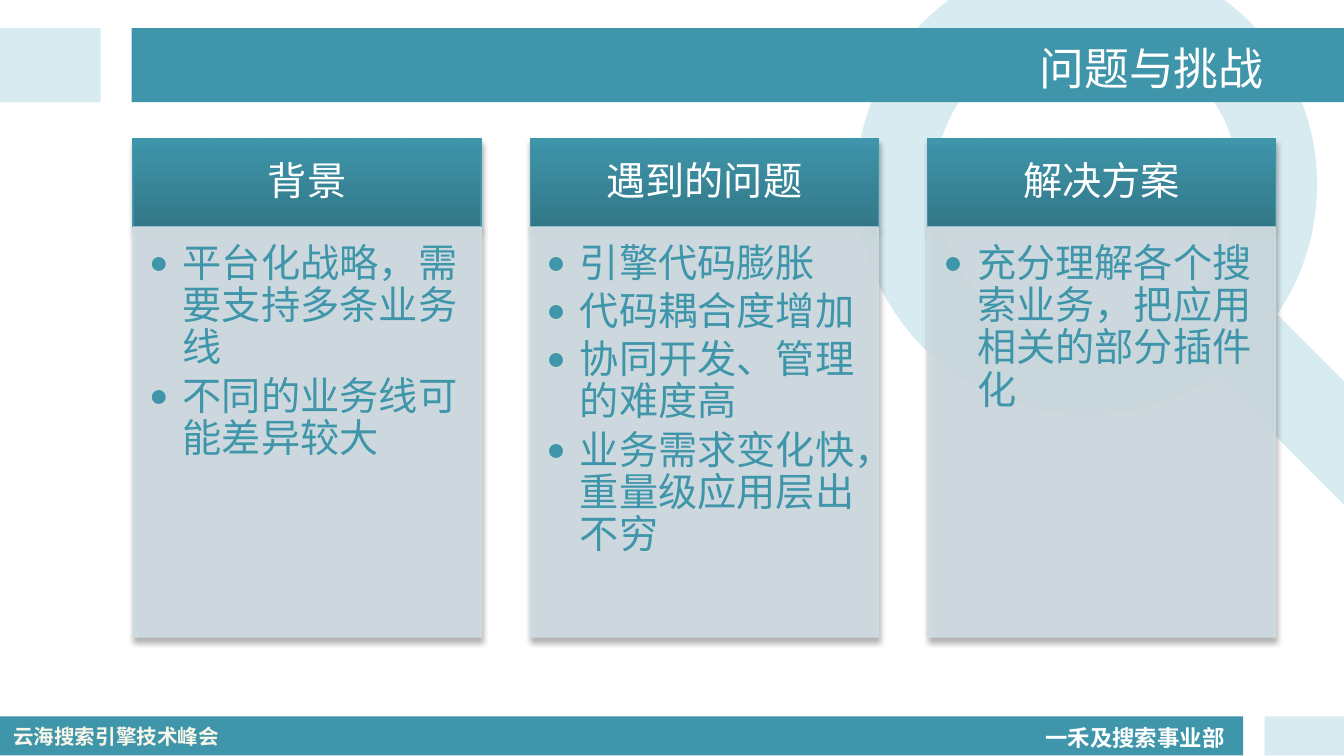
from lxml import etree
from pptx import Presentation
from pptx.dml.color import RGBColor
from pptx.enum import shapes, text
from pptx.oxml.ns import qn
from pptx.util import Inches, Pt

TEAL, DEEP, PALE, PANEL = "3F95AA", "327788", "D7EBF0", "CFDDE2"
WHITE, CREAM = "FFFFFF", "F9F7EA"
RECT = shapes.MSO_SHAPE.RECTANGLE
LEFT, MID, RIGHT = text.PP_ALIGN.LEFT, text.PP_ALIGN.CENTER, text.PP_ALIGN.RIGHT
TOP, CENTER = text.MSO_ANCHOR.TOP, text.MSO_ANCHOR.MIDDLE

CARDS = [
    ("背景", ["平台化战略，需要支持多条业务线", "不同的业务线可能差异较大"]),
    ("遇到的问题", ["引擎代码膨胀", "代码耦合度增加", "协同开发、管理的难度高",
               "业务需求变化快，重量级应用层出不穷"]),
    ("解决方案", ["充分理解各个搜索业务，把应用相关的部分插件化"]),
]


def color(code):
    return RGBColor.from_string(code)


def add_form(slide, box, fill, kind=RECT):
    form = slide.shapes.add_shape(kind, *map(Inches, box))
    form.shadow.inherit = False
    form.fill.solid()
    form.fill.fore_color.rgb = color(fill)
    form.line.fill.background()
    return form


def add_text(slide, box, lines, size, tint, align=LEFT, anchor=TOP, bold=False,
             font="Calibri", pads=(0.1, 0.05, 0.1, 0.05), space=1, after=0,
             bullet=False, wrap=True):
    frame = slide.shapes.add_textbox(*map(Inches, box)).text_frame
    frame.word_wrap = wrap
    frame.vertical_anchor = anchor
    (frame.margin_left, frame.margin_top,
     frame.margin_right, frame.margin_bottom) = map(Inches, pads)
    for i, line in enumerate(lines):
        para = frame.add_paragraph() if i else frame.paragraphs[0]
        para.alignment = align
        para.line_spacing = space
        para.space_after = Pt(after)
        if bullet:
            props = para._p.get_or_add_pPr()
            props.set("marL", str(Inches(0.25)))
            props.set("indent", str(-Inches(0.25)))
            etree.SubElement(props, qn("a:buFont"), typeface=font)
            etree.SubElement(props, qn("a:buChar"), char="•")
        run = para.add_run()
        run.text = line
        run.font.size = Pt(size)
        run.font.bold = bold
        run.font.name = font
        run.font.color.rgb = color(tint)


def add_alpha(node, share):
    etree.SubElement(node, qn("a:alpha"), val=str(share * 1000))


def add_shadow(form):
    effects = form._element.spPr.find(qn("a:effectLst"))
    shadow = etree.SubElement(
        effects, qn("a:outerShdw"), blurRad=str(Pt(3)), dist=str(Pt(3)),
        dir=str(80 * 60000), rotWithShape="0")
    add_alpha(etree.SubElement(shadow, qn("a:srgbClr"), val="000000"), 32)


def add_edge(form, tint):
    form.line.color.rgb = color(tint)
    form.line.width = Pt(0.75)


def draw_lens(slide, x, y):
    ring = add_form(slide, (x, y, 3.43, 3.43), PALE, shapes.MSO_SHAPE.DONUT)
    ring.adjustments[0] = 0.17
    grip = add_form(slide, (x + 2.29, y + 3.04, 2.14, 0.65), PALE,
                    shapes.MSO_SHAPE.ROUNDED_RECTANGLE)
    grip.adjustments[0] = 0.5
    grip.rotation = 45


def draw_footer(slide, y):
    add_form(slide, (0, y, 9.25, 0.29), TEAL)
    add_form(slide, (9.41, y, 0.59, 0.29), PALE)
    add_text(slide, (7.68, y - 0.03, 1.55, 0.33), ["一禾及搜索事业部"], 12, WHITE,
             bold=True, space=1.2, wrap=False)
    add_text(slide, (0, y + 0.01, 1.77, 0.29), ["云海搜索引擎技术峰会"], 11, CREAM,
             bold=True, font="Noto Sans CJK SC")


def draw_title(slide, y):
    add_form(slide, (0, y, 0.75, 0.55), PALE)
    add_form(slide, (0.98, y, 9.02, 0.55), TEAL)
    add_text(slide, (1.06, y + 0.02, 8.44, 0.54), ["问题与挑战"], 24, WHITE,
             RIGHT, CENTER)


def draw_card(slide, x, y, width, height, name, points):
    # Heading with a vertical gradient
    head = (x, y, width, 0.66)
    form = add_form(slide, head, TEAL)
    form.fill.gradient()
    form.fill.gradient_angle = 270
    for stop, tint, place in zip(form.fill.gradient_stops, (TEAL, DEEP), (0, 1)):
        stop.color.rgb = color(tint)
        stop.position = place
    add_edge(form, TEAL)
    add_shadow(form)
    add_text(slide, head, [name], 21, WHITE, MID, CENTER,
             pads=(0.16, 0.09, 0.16, 0.09), space=0.9)

    # Translucent panel with bullets
    body = (x, y + 0.66, width, height - 0.66)
    form = add_form(slide, body, PANEL)
    add_edge(form, PANEL)
    for node in form._element.spPr.iter(qn("a:srgbClr")):
        add_alpha(node, 90)
    add_shadow(form)
    add_text(slide, body, points, 21, TEAL, pads=(0.12, 0.12, 0.16, 0.18),
             space=0.9, after=3.15, bullet=True)


def main():
    deck = Presentation()
    # Widescreen, 16 to 9
    deck.slide_width = Inches(10)
    deck.slide_height = deck.slide_width * 9 // 16
    slide = deck.slides.add_slide(deck.slide_layouts[6])
    draw_lens(slide, 6.37, -0.34)
    draw_footer(slide, 5.33)
    draw_title(slide, 0.21)
    left, width, right = 0.99, 2.59, 9.49
    step = (right - width - left) / (len(CARDS) - 1)
    for i, (name, points) in enumerate(CARDS):
        draw_card(slide, left + i * step, 1.03, width, 3.71, name, points)
    deck.save("out.pptx")


if __name__ == "__main__":
    main()
